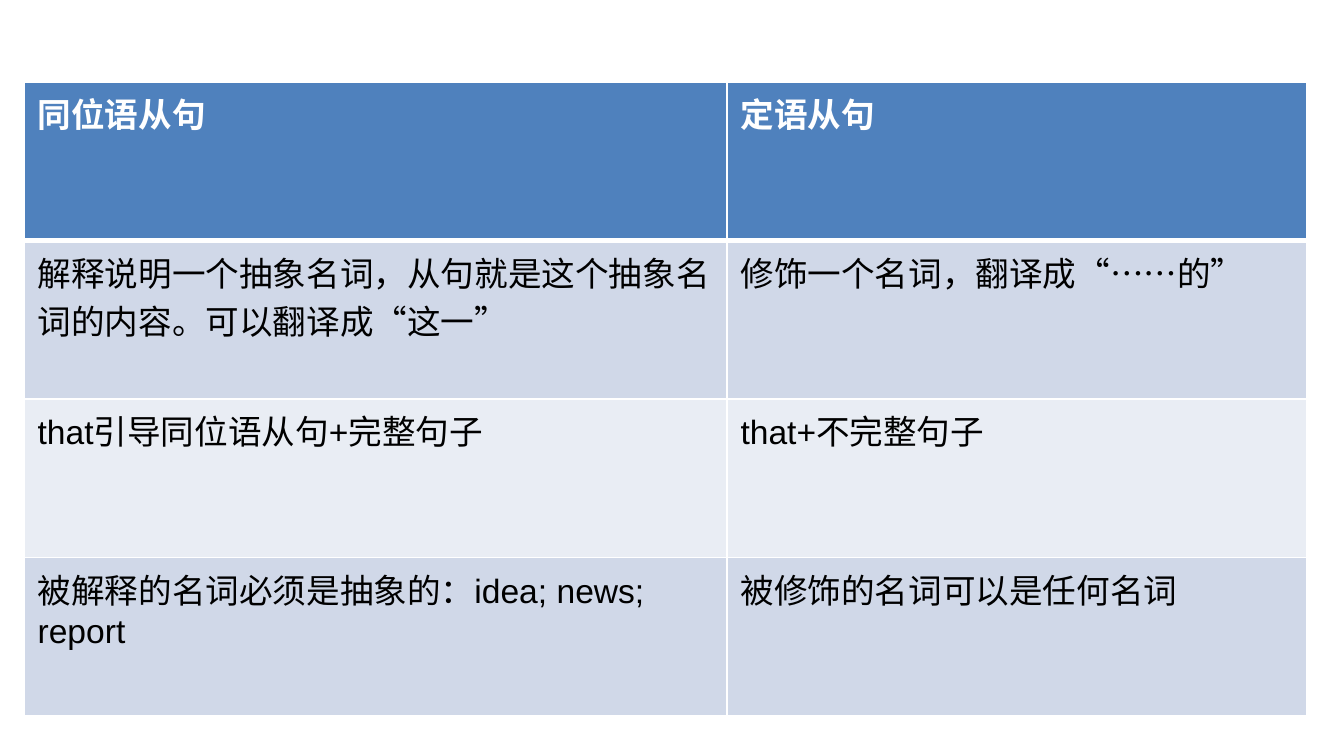
"""Build a slide comparing appositive and attributive clauses in a table."""
import lxml.etree
import pptx
import pptx.dml.color
import pptx.enum.lang
import pptx.oxml.ns
import pptx.util

Inches = pptx.util.Inches
Pt = pptx.util.Pt

ROWS = [
    ("同位语从句", "定语从句"),
    ("解释说明一个抽象名词，从句就是这个抽象名词的内容。可以翻译成“这一”",
     "修饰一个名词，翻译成“……的”"),
    ("that引导同位语从句+完整句子", "that+不完整句子"),
    ("被解释的名词必须是抽象的：idea; news; report", "被修饰的名词可以是任何名词"),
]
COLORS = {"header": "4F81BD", "odd": "D0D8E8", "even": "E9EDF4",
          "header_text": "FFFFFF", "body_text": "000000", "border": "FFFFFF"}
FONT = {"name": "Arial", "size": Pt(18),
        "language_id": pptx.enum.lang.MSO_LANGUAGE_ID.SIMPLIFIED_CHINESE}
HEADER_BORDERS = {"lnL": 1, "lnR": 1, "lnT": 1, "lnB": 3}
LEFT, TOP = 0.18, 0.61
COLUMN_WIDTHS = (5.23, 4.31)
ROW_HEIGHT = 1.18


def rgb(name):
    return pptx.dml.color.RGBColor.from_string(COLORS[name])


def add_borders(cell, borders):
    properties = cell._tc.get_or_add_tcPr()
    qn = pptx.oxml.ns.qn
    for index, (side, width) in enumerate(borders.items()):
        line = lxml.etree.Element(qn(f"a:{side}"), w=str(Pt(width)))
        fill = lxml.etree.SubElement(line, qn("a:solidFill"))
        lxml.etree.SubElement(fill, qn("a:srgbClr"), val=COLORS["border"])
        properties.insert(index, line)


def fill_cell(cell, text, row_index):
    is_header = row_index == 0
    band = "header" if is_header else ("odd" if row_index % 2 else "even")
    cell.fill.solid()
    cell.fill.fore_color.rgb = rgb(band)
    if is_header:
        add_borders(cell, HEADER_BORDERS)
    span = cell.text_frame.paragraphs[0].add_run()
    span.text = text
    for key, value in {**FONT, "bold": is_header}.items():
        setattr(span.font, key, value)
    span.font.color.rgb = rgb("header_text" if is_header else "body_text")


def main():
    deck = pptx.Presentation()
    deck.slide_width = Inches(10)
    deck.slide_height = deck.slide_width * 9 // 16
    page = deck.slides.add_slide(deck.slide_layouts[6])
    table = page.shapes.add_table(
        len(ROWS), len(COLUMN_WIDTHS), Inches(LEFT), Inches(TOP),
        Inches(sum(COLUMN_WIDTHS)), Inches(ROW_HEIGHT * len(ROWS))).table
    for column, width in zip(table.columns, COLUMN_WIDTHS):
        column.width = Inches(width)
    for row_index, texts in enumerate(ROWS):
        table.rows[row_index].height = Inches(ROW_HEIGHT)
        for column_index, text in enumerate(texts):
            fill_cell(table.cell(row_index, column_index), text, row_index)
    deck.save("out.pptx")


if __name__ == "__main__":
    main()
